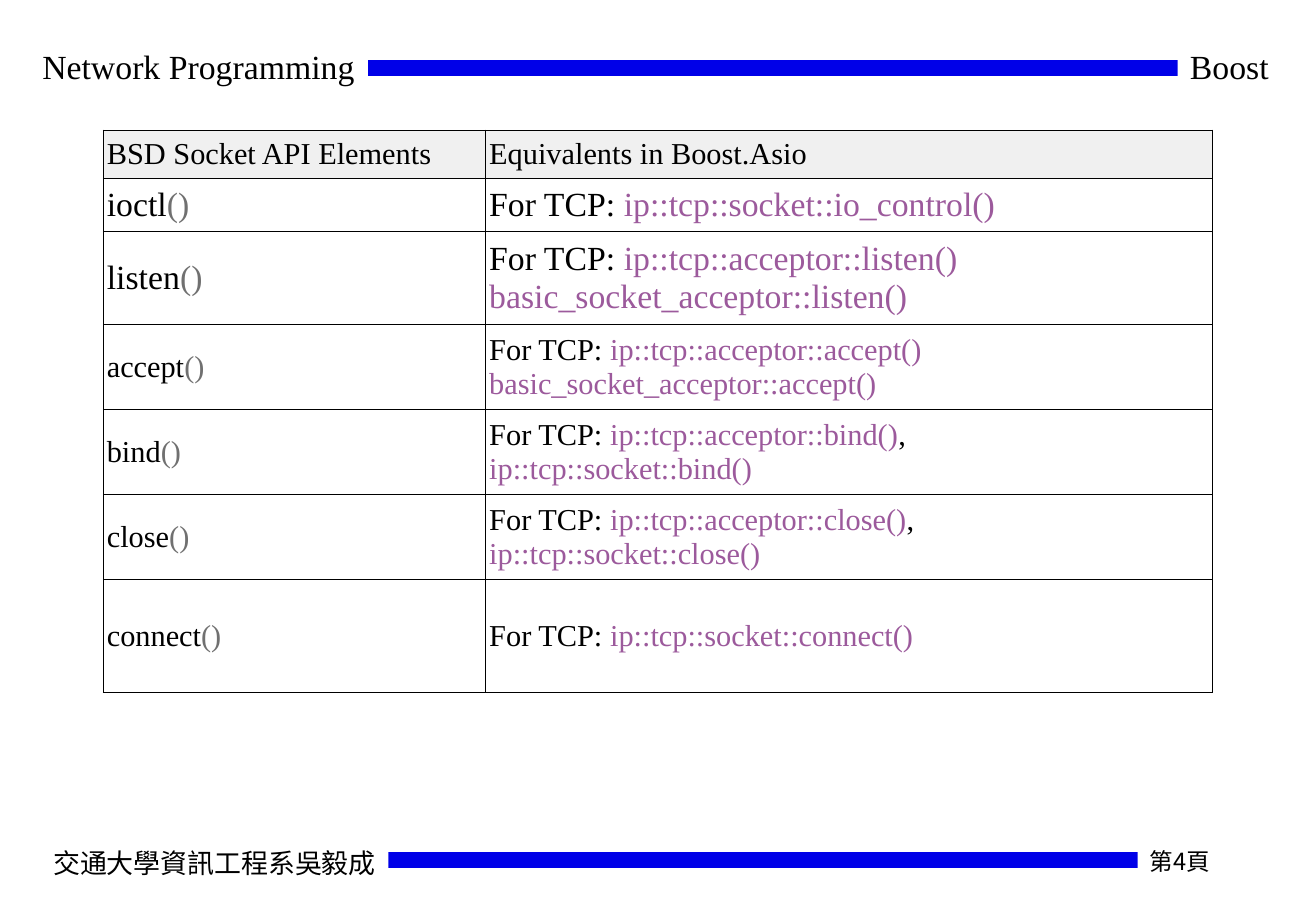
from dataclasses import dataclass

from lxml import etree
from pptx import Presentation
from pptx.dml.color import RGBColor
from pptx.enum.shapes import MSO_CONNECTOR, MSO_SHAPE
from pptx.enum.text import MSO_ANCHOR, MSO_AUTO_SIZE, PP_ALIGN
from pptx.oxml.ns import qn
from pptx.util import Inches, Pt

LINE, RECT = MSO_CONNECTOR.STRAIGHT, MSO_SHAPE.RECTANGLE
LEFT, RIGHT = PP_ALIGN.LEFT, PP_ALIGN.RIGHT
MIDDLE, GROW = MSO_ANCHOR.MIDDLE, MSO_AUTO_SIZE.SHAPE_TO_FIT_TEXT


@dataclass(frozen=True)
class Theme:
    white: str = "FFFFFF"
    black: str = "000000"
    blue: str = "0000E8"
    header: str = "F0F0F0"
    gray: str = "707070"
    purple: str = "9C5A9C"
    serif: str = "Times New Roman"
    cjk: str = "Noto Sans CJK SC"
    large: int = 20
    body: int = 18
    footer: int = 16
    page: int = 14
    bar: float = 10
    border: float = 0.45


T = Theme()


def format_run(r, size, color, font=T.serif):
    r.font.size = Pt(size)
    r.font.name = font
    r.font.color.rgb = RGBColor.from_string(color)
    etree.SubElement(r.font._element, qn("a:ea"), typeface=T.cjk)


def fill_cell(cell, paragraphs, size, fill):
    """Write paragraphs of (text, color) pieces and outline the cell."""
    cell.margin_left = cell.margin_right = Inches(0.03)
    cell.margin_top = cell.margin_bottom = Inches(0.05)
    cell.vertical_anchor = MIDDLE
    tf = cell.text_frame
    for i, pieces in enumerate(paragraphs):
        p = tf.add_paragraph() if i else tf.paragraphs[0]
        for text, color in pieces:
            r = p.add_run()
            r.text = text
            format_run(r, size, color)
    tcPr = cell._tc.get_or_add_tcPr()
    for side in ("a:lnL", "a:lnR", "a:lnT", "a:lnB"):
        ln = etree.SubElement(tcPr, qn(side), w=str(int(Pt(T.border))))
        solid = etree.SubElement(ln, qn("a:solidFill"))
        etree.SubElement(solid, qn("a:srgbClr"), val=T.black)
    cell.fill.solid()
    cell.fill.fore_color.rgb = RGBColor.from_string(fill)


prs = Presentation()
prs.slide_width, prs.slide_height = Inches(10.84), Inches(7.5)
s = prs.slides.add_slide(prs.slide_layouts[6])

# Blue bars
for x1, x2, y in ((0.9, 9.92, 7.08), (0.36, 10.47, 0.56)):
    bar = s.shapes.add_connector(LINE, Inches(x1), Inches(y), Inches(x2), Inches(y))
    bar.line.color.rgb = RGBColor.from_string(T.blue)
    bar.line.width = Pt(T.bar)
    etree.SubElement(bar._element.spPr, qn("a:effectLst"))

# White labels over the ends of the bars
labels = [
    ("第4頁", 9.37, 6.92, 1.58, 0.38, T.page, T.cjk, LEFT),
    ("Network Programming", 0.25, 0.33, 2.78, 0.43, T.large, T.serif, LEFT),
    ("交通大學資訊工程系吳毅成", 0.34, 6.92, 2.86, 0.37, T.footer, T.serif, LEFT),
    ("Boost", 9.7, 0.33, 0.85, 0.43, T.large, T.serif, RIGHT),
]
for text, x, y, w, h, size, font, align in labels:
    sp = s.shapes.add_shape(RECT, Inches(x), Inches(y), Inches(w), Inches(h))
    sp.shadow.inherit = False
    sp.fill.solid()
    sp.fill.fore_color.rgb = RGBColor.from_string(T.white)
    sp.line.fill.background()
    tf = sp.text_frame
    tf.word_wrap = False
    tf.auto_size = GROW
    tf.vertical_anchor = MSO_ANCHOR.TOP
    p = tf.paragraphs[0]
    p.text = text
    p.alignment = align
    format_run(p.runs[0], size, T.black, font)

# Table of socket calls: name, row height, type size, equivalents
headings = ("BSD Socket API Elements", "Equivalents in Boost.Asio")
calls = [
    ("ioctl", 0.41, T.large, ["ip::tcp::socket::io_control()"]),
    ("listen", 0.73, T.large,
     ["ip::tcp::acceptor::listen()", "basic_socket_acceptor::listen()"]),
    ("accept", 0.66, T.body,
     ["ip::tcp::acceptor::accept()", "basic_socket_acceptor::accept()"]),
    ("bind", 0.69, T.body, ["ip::tcp::acceptor::bind(),", "ip::tcp::socket::bind()"]),
    ("close", 0.7, T.body, ["ip::tcp::acceptor::close(),", "ip::tcp::socket::close()"]),
    ("connect", 0.93, T.body, ["ip::tcp::socket::connect()"]),
]
table = s.shapes.add_table(len(calls) + 1, 2, Inches(0.85), Inches(1.07),
                           Inches(9.14), Inches(4.48)).table
table.first_row = table.horz_banding = False
for column, width in zip(table.columns, (3.15, 5.99)):
    column.width = Inches(width)

table.rows[0].height = Inches(0.36)
for c, heading in enumerate(headings):
    fill_cell(table.cell(0, c), [[(heading, T.black)]], T.body, T.header)

for row, (name, height, size, equivalents) in enumerate(calls, start=1):
    table.rows[row].height = Inches(height)
    fill_cell(table.cell(row, 0), [[(name, T.black), ("()", T.gray)]], size, T.white)
    paragraphs = []
    for i, equivalent in enumerate(equivalents):
        pieces = [] if i else [("For TCP: ", T.black)]
        pieces.append((equivalent.rstrip(","), T.purple))
        if equivalent.endswith(","):
            pieces.append((",", T.black))
        paragraphs.append(pieces)
    fill_cell(table.cell(row, 1), paragraphs, size, T.white)

prs.save("out.pptx")
